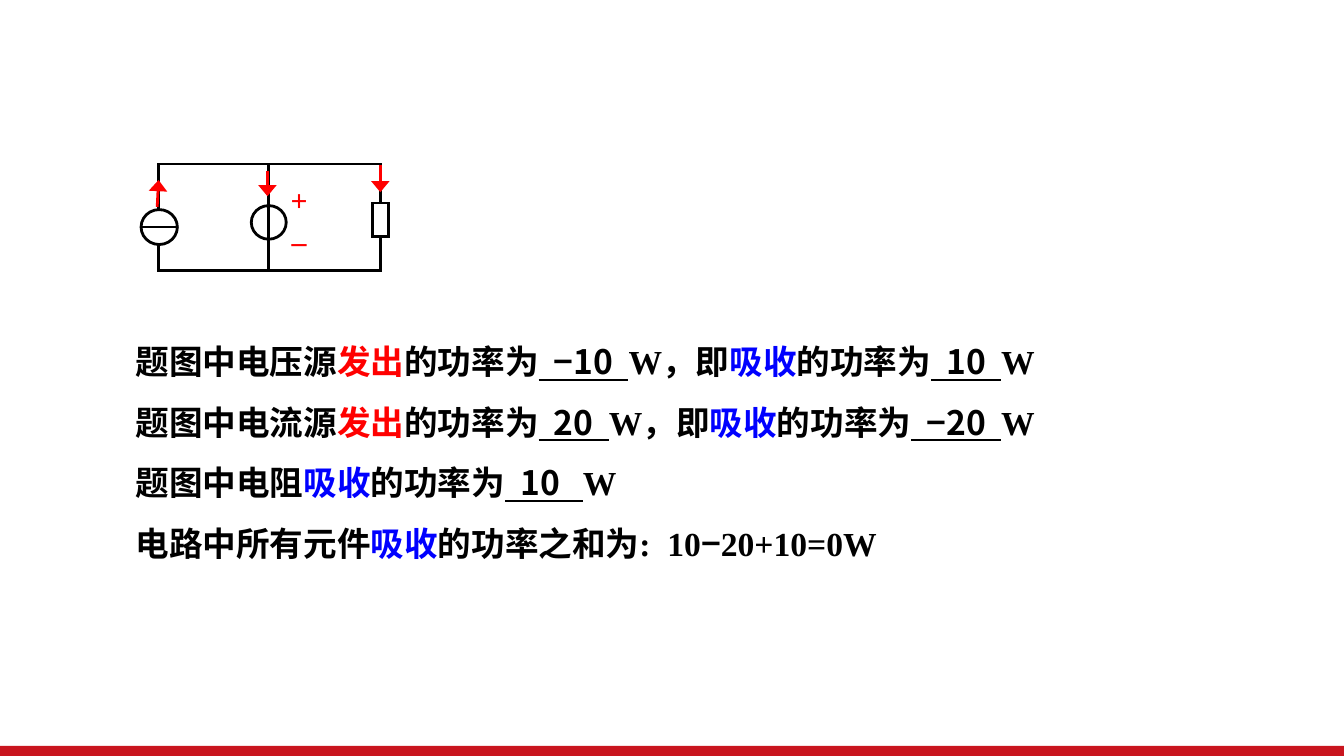
from lxml import etree
from pptx import Presentation
from pptx.dml.color import RGBColor
from pptx.enum.shapes import MSO_CONNECTOR, MSO_SHAPE
from pptx.enum.text import PP_ALIGN
from pptx.oxml.ns import qn
from pptx.util import Inches, Pt

RECT, OVAL = MSO_SHAPE.RECTANGLE, MSO_SHAPE.OVAL
LINE = MSO_CONNECTOR.STRAIGHT
LEFT, MID = PP_ALIGN.LEFT, PP_ALIGN.CENTER
SANS, SERIF = "Noto Sans CJK SC", "Times New Roman"
BLACK, WHITE, RED, BLUE, BRAND = "000000", "FFFFFF", "FF0000", "0000FF", "C9151E"
WIDE, HIGH = 10, 10 * 9 / 16

# Run styles: font, colour, underline
STYLES = {
    "text": (SANS, BLACK, False),
    "unit": (SERIF, BLACK, False),
    "out": (SANS, RED, False),
    "in": (SANS, BLUE, False),
    "blank": (SANS, BLACK, True),
    "mark": (SERIF, RED, False),
}
OUT, TAKE = ("发出", "out"), ("吸收", "in")
POWER, WATT, THEN = ("的功率为", "text"), ("W", "unit"), ("W，即", "unit")


def blank(value):
    return f"  {value}  ", "blank"


ANSWERS = [
    [("题图中电压源", "text"), OUT, POWER, blank("−10"), THEN, TAKE, POWER, blank("10"), WATT],
    [("题图中电流源", "text"), OUT, POWER, blank("20"), THEN, TAKE, POWER, blank("−20"), WATT],
    [("题图中电阻", "text"), TAKE, POWER, blank("10 "), WATT],
    [("电路中所有元件", "text"), TAKE, ("的功率之和为:  10", "unit"),
     ("−", "text"), ("20+10=0W", "unit")],
]

# Circuit parts: shape, box, fill
FRAME = (RECT, (1.18, 1.22, 1.65, 0.79), None)
SOURCE = (OVAL, (1.87, 1.53, 0.26, 0.25), None)
SUPPLY = (OVAL, (1.05, 1.56, 0.27, 0.26), WHITE)
LOAD = (RECT, (2.77, 1.51, 0.12, 0.25), WHITE)
# Wires: ends, width
WIRES = [((1.05, 1.69, 1.32, 1.69), 1.25), ((2, 1.22, 2, 2), 1.5)]
FLOW_UP = (1.17, 1.54, 1.18, 1.34)
FLOWS_DOWN = [(2.83, 1.23, 2.83, 1.43), (1.99, 1.27, 1.99, 1.46)]
SIGNS = [("_", 1.53), ("+", 1.3)]


def color(code):
    return RGBColor.from_string(code)


def add_part(kind, box, fill=None, edge=BLACK):
    part = slide.shapes.add_shape(kind, *map(Inches, box))
    part.shadow.inherit = False
    if fill:
        part.fill.solid()
        part.fill.fore_color.rgb = color(fill)
    else:
        part.fill.background()
    if edge:
        part.line.color.rgb = color(edge)
        part.line.width = Pt(1.5)
        etree.SubElement(part.line._get_or_add_ln(), qn("a:miter"), lim="800000")
    else:
        part.line.fill.background()


def add_line(ends, width=1.5, ink=BLACK, arrow=False):
    line = slide.shapes.add_connector(LINE, *map(Inches, ends))
    line.line.color.rgb = color(ink)
    line.line.width = Pt(width)
    if arrow:
        etree.SubElement(line.line._get_or_add_ln(), qn("a:tailEnd"),
                         type="triangle", w="lg", len="med")
    etree.SubElement(line._element.spPr, qn("a:effectLst"))


def add_text(box, rows, size, align=LEFT, gap=1.0):
    frame = slide.shapes.add_textbox(*map(Inches, box)).text_frame
    frame.word_wrap = True
    for i, row in enumerate(rows):
        para = frame.add_paragraph() if i else frame.paragraphs[0]
        para.alignment, para.line_spacing = align, gap
        for words, style in row:
            run = para.add_run()
            run.text = words
            face, ink, under = STYLES[style]
            form = {"name": face, "size": Pt(size), "bold": True, "underline": under}
            for key, value in form.items():
                setattr(run.font, key, value)
            run.font.color.rgb = color(ink)
            etree.SubElement(run._r.get_or_add_rPr(), qn("a:ea"), typeface=SANS)


deck = Presentation()
deck.slide_width, deck.slide_height = Inches(WIDE), Inches(HIGH)
slide = deck.slides.add_slide(deck.slide_layouts[6])

# Bottom band
add_part(RECT, (0, 5.55, WIDE, HIGH - 5.55), BRAND, None)

# Circuit
add_part(*FRAME)
add_part(*SOURCE)
for sign, top in SIGNS:
    add_text((1.97, top, 0.51, 0.37), [[(sign, "mark")]], 16, MID)
add_line(FLOW_UP, ink=RED, arrow=True)
add_part(*SUPPLY)
for ends, width in WIRES:
    add_line(ends, width)
add_part(*LOAD)
for ends in FLOWS_DOWN:
    add_line(ends, ink=RED, arrow=True)

# Answers
add_text((0.91, 2.34, 8.27, 1.86), ANSWERS, 18, gap=1.5)

deck.save("out.pptx")
